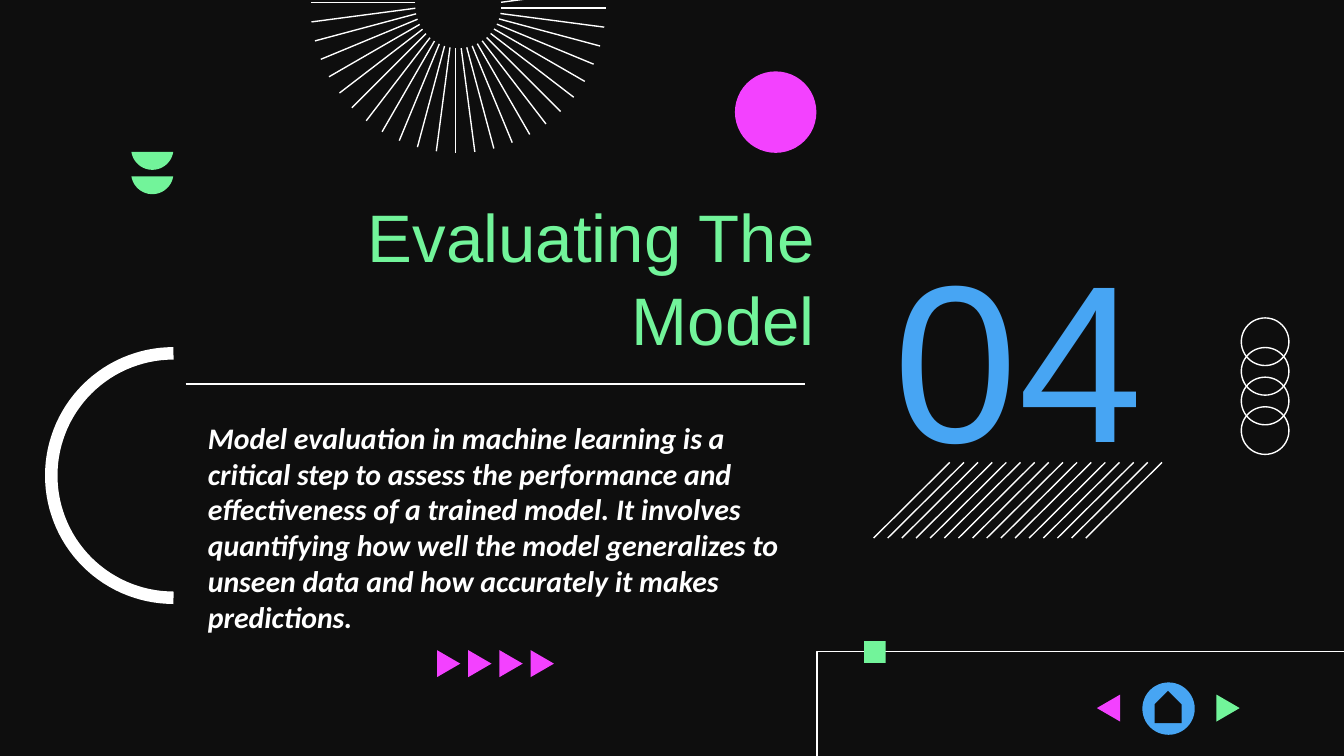
"""Build the section slide "04 Evaluating The Model" with its geometric ornaments."""

import dataclasses
import math

import lxml.etree
import pptx
import pptx.dml.color
import pptx.enum.shapes
import pptx.enum.text
import pptx.oxml.ns
import pptx.util

COLORS = {
    "night": "0E0E0E",
    "white": "FFFFFF",
    "green": "72F49A",
    "pink": "F341FF",
    "blue": "47A5F3",
}
SLIDE_WIDTH, SLIDE_HEIGHT = 25.4, 14.29
KINDS = pptx.enum.shapes.MSO_SHAPE
ALIGN = pptx.enum.text.PP_ALIGN
Point = tuple[float, float]
Insets = tuple[float, float, float, float]


@dataclasses.dataclass(frozen=True)
class Preset:
    """A filled preset shape, in centimetres."""

    kind: KINDS
    left: float
    top: float
    width: float
    height: float
    color: str
    rotation: float = 0


@dataclasses.dataclass(frozen=True)
class Triangle:
    """A sideways triangle, in centimetres."""

    left: float
    top: float
    color: str
    points_right: bool = True


@dataclasses.dataclass(frozen=True)
class TextBlock:
    """A text box with one styled paragraph, in centimetres and points."""

    text: str
    left: float
    top: float
    width: float
    height: float
    font: str
    size: float
    color: str
    align: ALIGN
    insets: Insets
    spacing: float = 1.0
    strong: bool = False


PRESETS = [
    Preset(KINDS.OVAL, 13.89, 1.35, 1.54, 1.54, "pink"),
    Preset(KINDS.RECTANGLE, 16.33, 12.12, 0.41, 0.41, "green"),
    Preset(KINDS.OVAL, 21.59, 12.9, 0.99, 0.99, "blue"),
    Preset(KINDS.PENTAGON, 21.77, 13.11, 0.61, 0.51, "night", 270),
]
TRIANGLES = [Triangle(8.26 + 0.59 * i, 12.29, "pink") for i in range(4)] + [
    Triangle(20.73, 13.13, "pink", False),
    Triangle(22.99, 13.13, "green"),
]
TEXTS = [
    TextBlock("Evaluating The Model", 3.1, 3.56, 12.55, 2.49, "Arial", 36, "green",
              ALIGN.RIGHT, (0.25, 0.08, 0.25, 0.25), spacing=1.03),
    TextBlock("04", 15.67, 3.76, 7.16, 4.45, "Arial", 120, "blue",
              ALIGN.CENTER, (0.25, 0.38, 0.25, 0.25)),
    TextBlock("Model evaluation in machine learning is a critical step to assess the "
              "performance and effectiveness of a trained model. It involves quantifying "
              "how well the model generalizes to unseen data and how accurately it makes "
              "predictions.", 3.68, 7.8, 11.4, 4.37, "Calibri", 16, "white",
              ALIGN.LEFT, (0.25, 0.13, 0.25, 0.13), strong=True),
]


def rgb(name: str) -> pptx.dml.color.RGBColor:
    """Return the named colour."""
    return pptx.dml.color.RGBColor.from_string(COLORS[name])


def paint(shape, fill: str | None = None, line: str | None = None, weight: float = 0.75) -> None:
    """Set the fill and outline of a shape and drop its shadow."""
    shape.shadow.inherit = False
    if fill:
        shape.fill.solid()
        shape.fill.fore_color.rgb = rgb(fill)
    else:
        shape.fill.background()
    if line:
        shape.line.color.rgb = rgb(line)
        shape.line.width = pptx.util.Pt(weight)
    else:
        shape.line.fill.background()


def draw_preset(page, preset: Preset) -> None:
    """Draw a filled preset shape."""
    lengths = (preset.left, preset.top, preset.width, preset.height)
    shape = page.shapes.add_shape(preset.kind, *map(pptx.util.Cm, lengths))
    shape.rotation = preset.rotation
    paint(shape, preset.color)


def draw_ring(page, center: Point, radius: float) -> None:
    """Draw a thin circle outline."""
    lengths = (center[0] - radius, center[1] - radius, 2 * radius, 2 * radius)
    ring = page.shapes.add_shape(KINDS.OVAL, *map(pptx.util.Cm, lengths))
    paint(ring, line="white")


def draw_line(page, start: Point, end: Point) -> None:
    """Draw a thin white line."""
    line = page.shapes.add_connector(
        pptx.enum.shapes.MSO_CONNECTOR.STRAIGHT, *map(pptx.util.Cm, (*start, *end))
    )
    line.line.color.rgb = rgb("white")
    line.line.width = pptx.util.Pt(0.75)
    properties = line._element.spPr
    lxml.etree.SubElement(properties, pptx.oxml.ns.qn("a:effectLst"))


def draw_outline(page, points: list[Point], closed: bool = True):
    """Draw a freeform through the points and return it."""
    corners = [(pptx.util.Cm(x), pptx.util.Cm(y)) for x, y in points]
    builder = page.shapes.build_freeform(*corners[0])
    builder.add_line_segments(corners[1:], close=closed)
    return builder.convert_to_shape()


def draw_triangle(page, triangle: Triangle) -> None:
    """Draw a sideways triangle."""
    width, height = 0.44, 0.51
    base, tip = triangle.left, triangle.left + width
    if not triangle.points_right:
        base, tip = tip, base
    top = triangle.top
    paint(draw_outline(page, [(base, top), (tip, top + height / 2), (base, top + height)]),
          triangle.color)


def polar(center: Point, radius: float, degrees: float, shift: float = 0) -> Point:
    """Return a point at an angle, shifted sideways from its radius."""
    cosine, sine = math.cos(math.radians(degrees)), math.sin(math.radians(degrees))
    return (center[0] + radius * cosine - shift * sine,
            center[1] + radius * sine + shift * cosine)


def arc(center: Point, radius: float, first: int, last: int) -> list[Point]:
    """Return points along an arc."""
    return [polar(center, radius, degrees) for degrees in range(first, last + 1, 3)]


def draw_text(page, block: TextBlock) -> None:
    """Draw a text box."""
    lengths = (block.left, block.top, block.width, block.height)
    box = page.shapes.add_textbox(*map(pptx.util.Cm, lengths))
    frame = box.text_frame
    frame.word_wrap = True
    frame.vertical_anchor = pptx.enum.text.MSO_ANCHOR.TOP
    (frame.margin_left, frame.margin_top,
     frame.margin_right, frame.margin_bottom) = map(pptx.util.Cm, block.insets)
    para = frame.paragraphs[0]
    para.alignment = block.align
    para.line_spacing = block.spacing
    span = para.add_run()
    span.text = block.text
    span.font.name = block.font
    span.font.size = pptx.util.Pt(block.size)
    span.font.color.rgb = rgb(block.color)
    span.font.bold = span.font.italic = block.strong


def main() -> None:
    """Build and save the deck."""
    deck = pptx.Presentation()
    deck.slide_width = pptx.util.Cm(SLIDE_WIDTH)
    deck.slide_height = pptx.util.Cm(SLIDE_HEIGHT)
    page = deck.slides.add_slide(deck.slide_layouts[6])
    page.background.fill.solid()
    page.background.fill.fore_color.rgb = rgb("night")

    for i in range(4):
        draw_ring(page, (23.91, 6.46 + 0.56 * i), 0.45)
    for i in range(-1, 25):
        inner, outer = (polar((8.66, 0.1), radius, 7.5 * i, 0.05) for radius in (0.81, 2.79))
        draw_line(page, inner, outer)
    for i in range(16):
        foot = 16.51 + 4.01 * i / 15
        draw_line(page, (foot, 10.17), (foot + 1.44, 8.74))
    for middle in (2.81, 3.27):
        paint(draw_outline(page, arc((2.88, middle), 0.4, 9, 171)), "green")
    paint(draw_outline(page, arc((3.28, 8.99), 2.31, 90, 270), closed=False),
          line="white", weight=6.69)
    corner = [(SLIDE_WIDTH, 12.32), (15.44, 12.32), (15.44, SLIDE_HEIGHT)]
    paint(draw_outline(page, corner, closed=False), line="white")
    draw_line(page, (3.51, 7.26), (15.21, 7.26))

    for preset in PRESETS:
        draw_preset(page, preset)
    for triangle in TRIANGLES:
        draw_triangle(page, triangle)
    for block in TEXTS:
        draw_text(page, block)
    deck.save("out.pptx")


if __name__ == "__main__":
    main()
